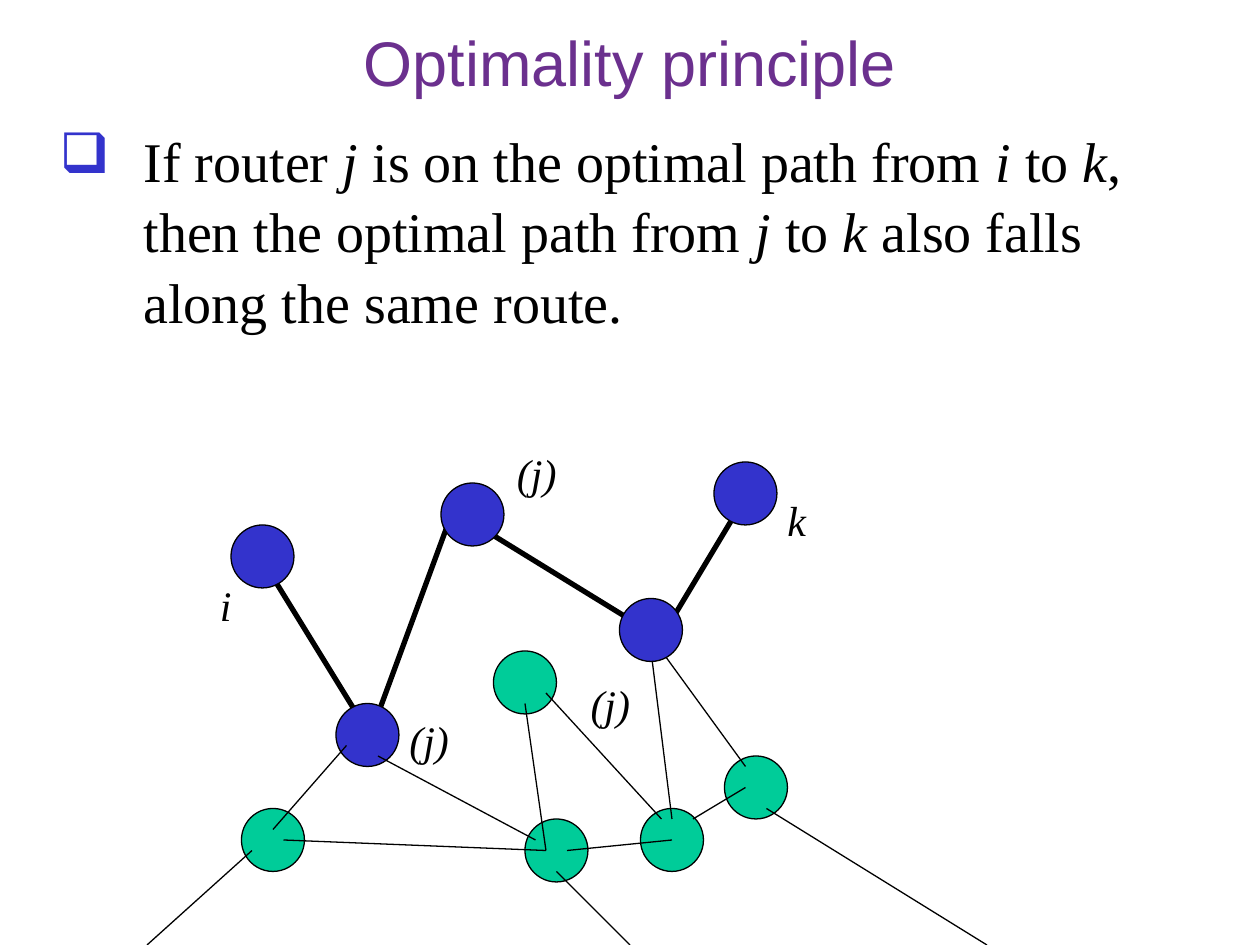
from typing import NamedTuple

from lxml.etree import SubElement
from pptx import Presentation
from pptx.dml.color import RGBColor
from pptx.enum.shapes import MSO_CONNECTOR as CONN, MSO_SHAPE as SHAPE
from pptx.enum.text import MSO_ANCHOR as ANCHOR, PP_ALIGN as ALIGN
from pptx.oxml.ns import qn
from pptx.util import Pt

PX = 9525
NODE = 48
BLACK = RGBColor(0x00, 0x00, 0x00)
PURPLE = RGBColor(0x6B, 0x30, 0x8E)
BLUE = RGBColor(0x33, 0x33, 0xCC)
GREEN = RGBColor(0x00, 0xCC, 0x99)
SERIF = "Times New Roman"


class Node(NamedTuple):
    x: int
    y: int
    color: RGBColor


class Link(NamedTuple):
    x1: int
    y1: int
    x2: int
    y2: int
    width: float = 0.75


class Label(NamedTuple):
    text: str
    x: int
    y: int
    w: int


ROUTE = [
    Link(288, 544, 344, 392, 3),
    Link(376, 408, 480, 472, 3),
    Link(512, 472, 560, 392, 3),
    Link(208, 440, 272, 544, 3),
]
NODES = [
    Node(176, 400, BLUE),
    Node(256, 536, BLUE),
    Node(336, 368, BLUE),
    Node(544, 352, BLUE),
    Node(184, 616, GREEN),
    Node(400, 624, GREEN),
    Node(488, 616, GREEN),
    Node(552, 576, GREEN),
    Node(376, 496, GREEN),
]
LINKS = [
    Link(264, 568, 208, 632),
    Link(216, 640, 416, 648),
    Link(288, 576, 408, 640),
    Link(400, 536, 416, 648),
    Link(432, 648, 512, 640),
    Link(568, 600, 528, 624),
    Link(568, 584, 504, 496),
    Link(416, 528, 504, 624),
    Link(512, 624, 496, 496),
    Link(192, 648, 112, 720),
    Link(424, 664, 480, 720),
    Link(584, 616, 752, 720),
]
TOP_NODE = Node(472, 456, BLUE)
LABELS = [
    Label("i", 158, 437, 28),
    Label("k", 590, 372, 34),
    Label("(j)", 302, 540, 50),
    Label("(j)", 384, 336, 50),
    Label("(j)", 440, 512, 50),
]
PRINCIPLE = [
    "If router ", "j", " is on the optimal path from ", "i", " to ", "k",
    ", then the optimal path from ", "j", " to ", "k",
    " also falls along the same route.",
]


def add_box(slide, x: int, y: int, w: int, h: int, wrap: bool = True):
    tf = slide.shapes.add_textbox(x * PX, y * PX, w * PX, h * PX).text_frame
    tf.word_wrap = wrap
    return tf


def style(font, name: str, size: int, color: RGBColor, italic: bool = False) -> None:
    font.name = name
    font.size = Pt(size)
    font.color.rgb = color
    font.italic = italic


def add_title(slide, text: str) -> None:
    tf = add_box(slide, 0, 0, 960, 93)
    tf.vertical_anchor = ANCHOR.MIDDLE
    p = tf.paragraphs[0]
    p.text = text
    p.alignment = ALIGN.CENTER
    style(p.runs[0].font, "Arial", 36, PURPLE)


def add_bullet(p, char: str, color: RGBColor, indent: int) -> None:
    ppr = p._p.get_or_add_pPr()
    ppr.set("marL", str(indent * PX))
    ppr.set("indent", str(-indent * PX))
    clr = SubElement(ppr, qn("a:buClr"))
    SubElement(clr, qn("a:srgbClr"), val=str(color))
    SubElement(ppr, qn("a:buChar"), char=char)


def add_principle(slide, parts: list[str]) -> None:
    p = add_box(slide, 36, 89, 874, 613).paragraphs[0]
    add_bullet(p, "❑", BLUE, 64)
    p.line_spacing = 1.05
    for i, text in enumerate(parts):
        r = p.add_run()
        r.text = text
        style(r.font, SERIF, 32, BLACK, italic=i % 2 == 1)


def add_label(slide, label: Label) -> None:
    p = add_box(slide, label.x, label.y, label.w, 48, wrap=False).paragraphs[0]
    p.text = label.text
    p.alignment = ALIGN.CENTER
    style(p.runs[0].font, SERIF, 24, BLACK, italic=True)


def add_link(slide, link: Link) -> None:
    ends = [v * PX for v in link[:4]]
    c = slide.shapes.add_connector(CONN.STRAIGHT, *ends)
    c.line.color.rgb = BLACK
    c.line.width = Pt(link.width)
    SubElement(c._element.spPr, qn("a:effectLst"))


def add_node(slide, node: Node) -> None:
    sp = slide.shapes.add_shape(
        SHAPE.OVAL, node.x * PX, node.y * PX, NODE * PX, NODE * PX
    )
    sp.shadow.inherit = False
    sp.fill.solid()
    sp.fill.fore_color.rgb = node.color
    sp.line.color.rgb = BLACK
    sp.line.width = Pt(0.75)


def main() -> None:
    prs = Presentation()
    prs.slide_width, prs.slide_height = 960 * PX, 720 * PX
    s = prs.slides.add_slide(prs.slide_layouts[6])
    add_title(s, "Optimality principle")
    add_principle(s, PRINCIPLE)
    for label in LABELS:
        add_label(s, label)
    for link in ROUTE:
        add_link(s, link)
    for node in NODES:
        add_node(s, node)
    for link in LINKS:
        add_link(s, link)
    add_node(s, TOP_NODE)
    prs.save("out.pptx")


if __name__ == "__main__":
    main()
